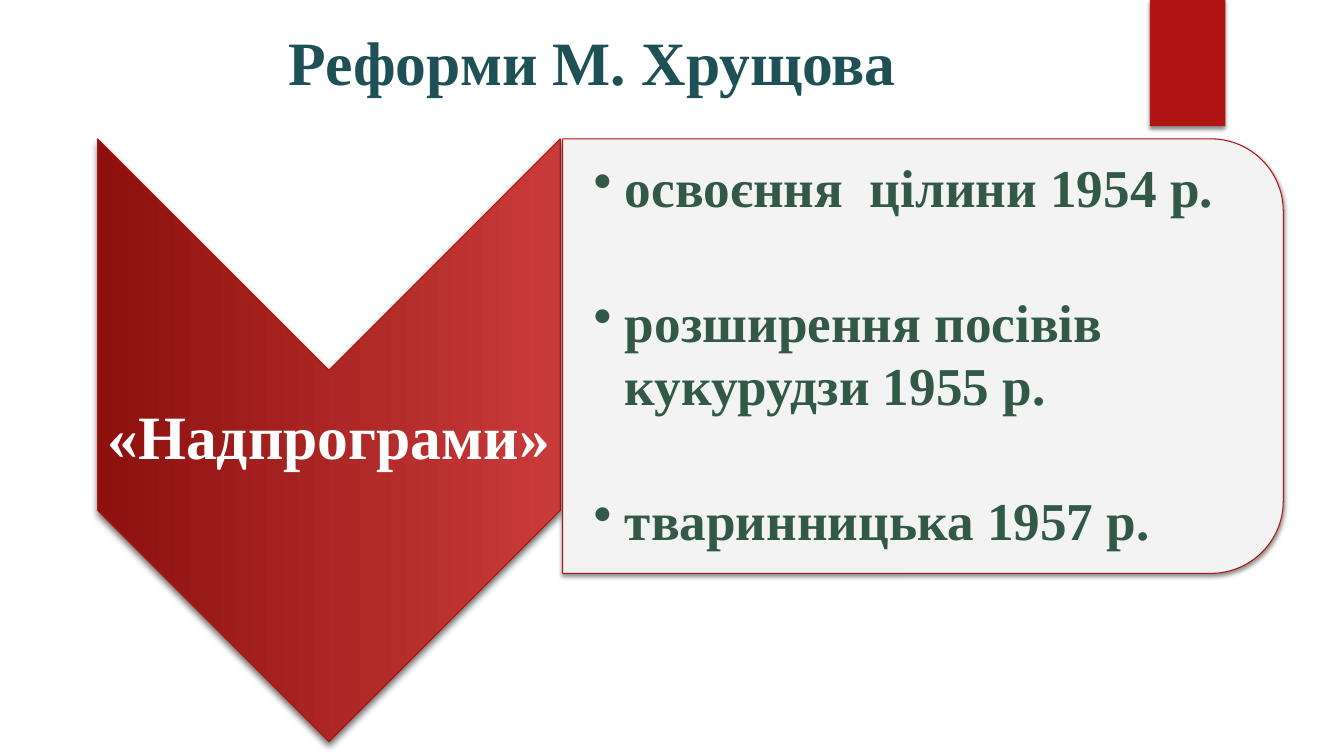
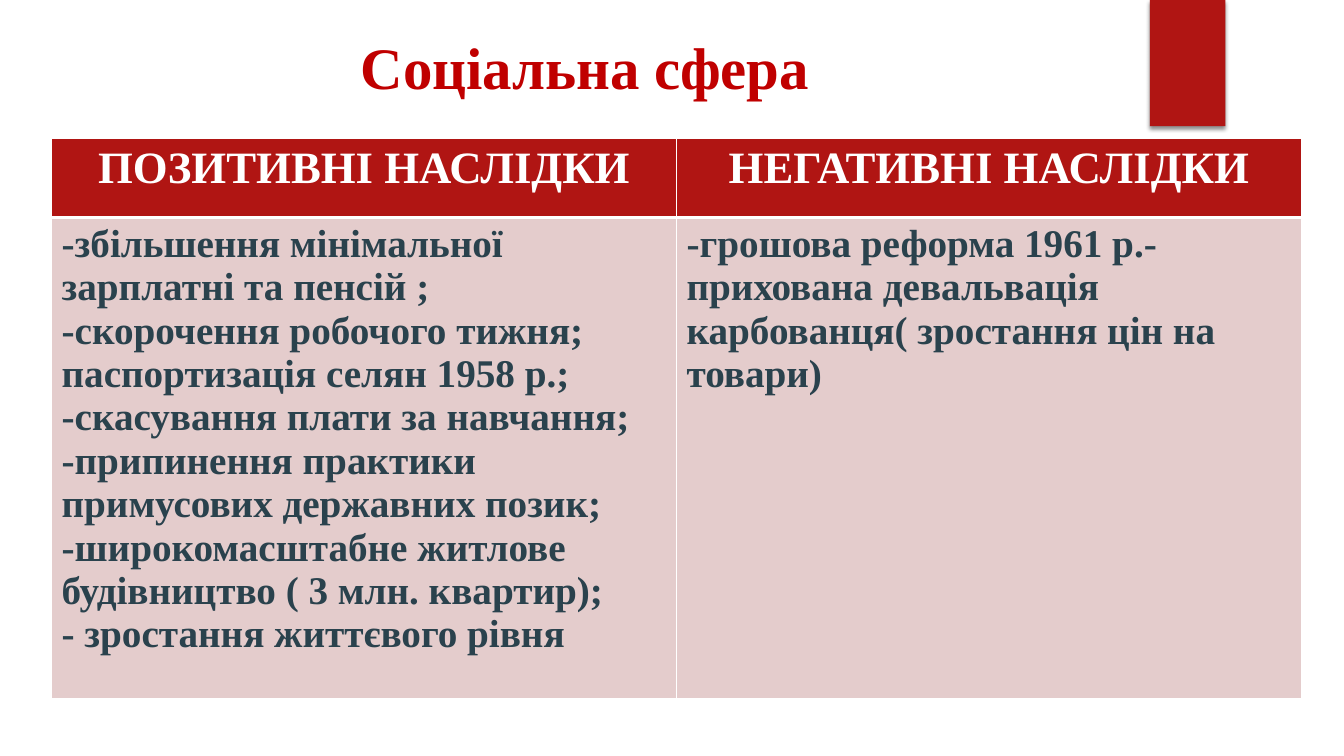
from dataclasses import dataclass

from lxml import etree
from pptx import Presentation
from pptx.dml.color import RGBColor
from pptx.enum.shapes import MSO_SHAPE
from pptx.enum.text import MSO_ANCHOR, PP_ALIGN
from pptx.oxml import parse_xml
from pptx.oxml.ns import nsdecls, qn
from pptx.util import Cm, Pt

RECT = MSO_SHAPE.RECTANGLE
CHEVRON = MSO_SHAPE.CHEVRON
TAB = MSO_SHAPE.ROUND_2_SAME_RECTANGLE
LEFT, CENTER = PP_ALIGN.LEFT, PP_ALIGN.CENTER
TOP, MIDDLE = MSO_ANCHOR.TOP, MSO_ANCHOR.MIDDLE


@dataclass(frozen=True)
class Theme:
    font: str = "Times New Roman"
    red: str = "B01513"
    light: str = "C93B3A"
    dark: str = "8D110F"
    white: str = "FFFFFF"
    card: str = "F3F3F3"
    pink: str = "E4CCCC"
    teal: str = "1E5155"
    crimson: str = "C00000"
    green: str = "325948"
    slate: str = "2A424D"
    big: int = 44
    title: int = 42
    item: int = 38
    head: int = 32
    body: int = 28


THEME = Theme()

ITEMS = [
    "освоєння  цілини 1954 р.",
    "розширення посівів кукурудзи 1955 р.",
    "тваринницька 1957 р.",
]
HEADS = ["ПОЗИТИВНІ НАСЛІДКИ", "НЕГАТИВНІ НАСЛІДКИ"]
GAINS = [
    "-збільшення мінімальної зарплатні та пенсій ;",
    "-скорочення робочого тижня;",
    "паспортизація селян 1958 р.;",
    "-скасування плати за навчання;",
    "-припинення практики примусових державних позик;",
    "-широкомасштабне житлове будівництво ( 3 млн. квартир);",
    "- зростання життєвого рівня",
]
LOSSES = [
    "-грошова реформа 1961 р.- прихована девальвація "
    "карбованця( зростання цін на товари)",
]


def rgb(code):
    return RGBColor.from_string(code)


def write(frame, lines, size, color, align=LEFT, bullet=False, gap=0, pitch=None):
    """Fill a text frame with one bold paragraph per line, gap points apart."""
    frame.word_wrap = True
    for i, line in enumerate(lines):
        para = frame.paragraphs[0] if i == 0 else frame.add_paragraph()
        if bullet:
            props = para._p.get_or_add_pPr()
            props.set("marL", str(Cm(0.79)))
            props.set("indent", str(-Cm(0.79)))
            etree.SubElement(props, qn("a:buChar")).set("char", "•")
        para.alignment = align
        if pitch:
            para.line_spacing = pitch
        if i and gap:
            para.space_before = Pt(gap)
        run = para.add_run()
        run.text = line
        font = run.font
        font.name, font.size, font.bold = THEME.font, Pt(size), True
        font.color.rgb = rgb(color)


def label(slide, box, lines, anchor=MIDDLE, pad=(0.08, 0.08), **form):
    """Add a text box; pad holds its left inset and its other insets."""
    frame = slide.shapes.add_textbox(*map(Cm, box)).text_frame
    frame.vertical_anchor = anchor
    frame.margin_left = Cm(pad[0])
    frame.margin_top = frame.margin_right = frame.margin_bottom = Cm(pad[1])
    write(frame, lines, **form)


def shade(shape, alpha, blur, dist):
    """Cast a black shadow straight down."""
    shape.shadow.inherit = False
    effects = shape._element.spPr.find(qn("a:effectLst"))
    effects.append(parse_xml(
        f'<a:outerShdw {nsdecls("a")} blurRad="{Pt(blur)}" dist="{Pt(dist)}" '
        f'dir="5400000" rotWithShape="0"><a:srgbClr val="000000">'
        f'<a:alpha val="{alpha * 1000}"/></a:srgbClr></a:outerShdw>'))


def panel(slide, kind, box, fill, line=None, turn=False, shadow=(45, 3, 2)):
    """Add a shape that covers box, turned a quarter clockwise on request.

    A pair of colours as fill makes a gradient.
    """
    x, y, w, h = box
    if turn:
        x, y, w, h = x + (w - h) / 2, y + (h - w) / 2, h, w
    shape = slide.shapes.add_shape(kind, Cm(x), Cm(y), Cm(w), Cm(h))
    shape.rotation = 90 if turn else 0
    if isinstance(fill, tuple):
        shape.fill.gradient()
        shape.fill.gradient_angle = 270
        for stop, color, place in zip(shape.fill.gradient_stops, fill, (0, 1)):
            stop.color.rgb = rgb(color)
            stop.position = place
    else:
        shape.fill.solid()
        shape.fill.fore_color.rgb = rgb(fill)
    if line:
        shape.line.color.rgb = rgb(line)
        shape.line.width = Pt(0.75)
    else:
        shape.line.fill.background()
    shade(shape, *shadow)


def edge(cell, **sides):
    """Draw white borders; sides maps L, R, T and B to widths in points."""
    props = cell._tc.get_or_add_tcPr()
    for i, (side, width) in enumerate(sides.items()):
        props.insert(i, parse_xml(
            f'<a:ln{side} {nsdecls("a")} w="{Pt(width)}"><a:solidFill>'
            f'<a:srgbClr val="{THEME.white}"/></a:solidFill></a:ln{side}>'))


def grid(slide, spot, width, rows):
    """Add a table; each row is (height, fill, cells, text format)."""
    cols = len(rows[0][2])
    high = sum(row[0] for row in rows)
    table = slide.shapes.add_table(
        len(rows), cols, *map(Cm, (*spot, width, high))).table
    for col in table.columns:
        col.width = Cm(width / cols)
    for r, (height, fill, cells, form) in enumerate(rows):
        table.rows[r].height = Cm(height)
        for c, lines in enumerate(cells):
            cell = table.cell(r, c)
            cell.fill.solid()
            cell.fill.fore_color.rgb = rgb(fill)
            edge(cell, L=1, R=1, T=3 if r == 1 else 1, B=3 if r == 0 else 1)
            write(cell.text_frame, lines, **form)


def start(deck, title, top, size, color):
    """Add a blank slide with the red band and a title."""
    slide = deck.slides.add_slide(deck.slide_layouts[6])
    panel(slide, RECT, (28.98, 0, 1.9, 3.18), THEME.red)
    label(slide, (1.8, top, 26.14, 2.4), [title], anchor=TOP, pad=(0.25, 0.13),
          size=size, color=color, align=CENTER)
    return slide


def reforms(deck):
    slide = start(deck, "Реформи М. Хрущова", 0.48, THEME.big, THEME.teal)
    panel(slide, CHEVRON, (2.46, 3.5, 11.66, 15.19), (THEME.light, THEME.dark),
          line=THEME.red, turn=True, shadow=(60, 5, 3))
    label(slide, (2.46, 9.32, 11.66, 3.53), ["«Надпрограми»"],
          size=THEME.big, color=THEME.white, align=CENTER, pitch=0.9)
    panel(slide, TAB, (14.18, 3.5, 18.16, 10.95), THEME.card,
          line=THEME.red, turn=True)
    label(slide, (14.2, 4.01, 17.63, 9.88), ITEMS, pad=(0.76, 0.08),
          size=THEME.item, color=THEME.green, bullet=True, gap=52, pitch=0.98)


def social(deck):
    slide = start(deck, "Соціальна сфера ", 0.64, THEME.title, THEME.crimson)
    head = dict(size=THEME.head, color=THEME.white, align=CENTER)
    body = dict(size=THEME.body, color=THEME.slate)
    grid(slide, (1.3, 3.48), 31.5, [
        (2, THEME.red, [[text] for text in HEADS], head),
        (11.15, THEME.pink, [GAINS, LOSSES], body),
    ])


def main():
    deck = Presentation()
    deck.slide_width, deck.slide_height = Cm(33.87), Cm(19.05)
    reforms(deck)
    social(deck)
    deck.save("out.pptx")


if __name__ == "__main__":
    main()
